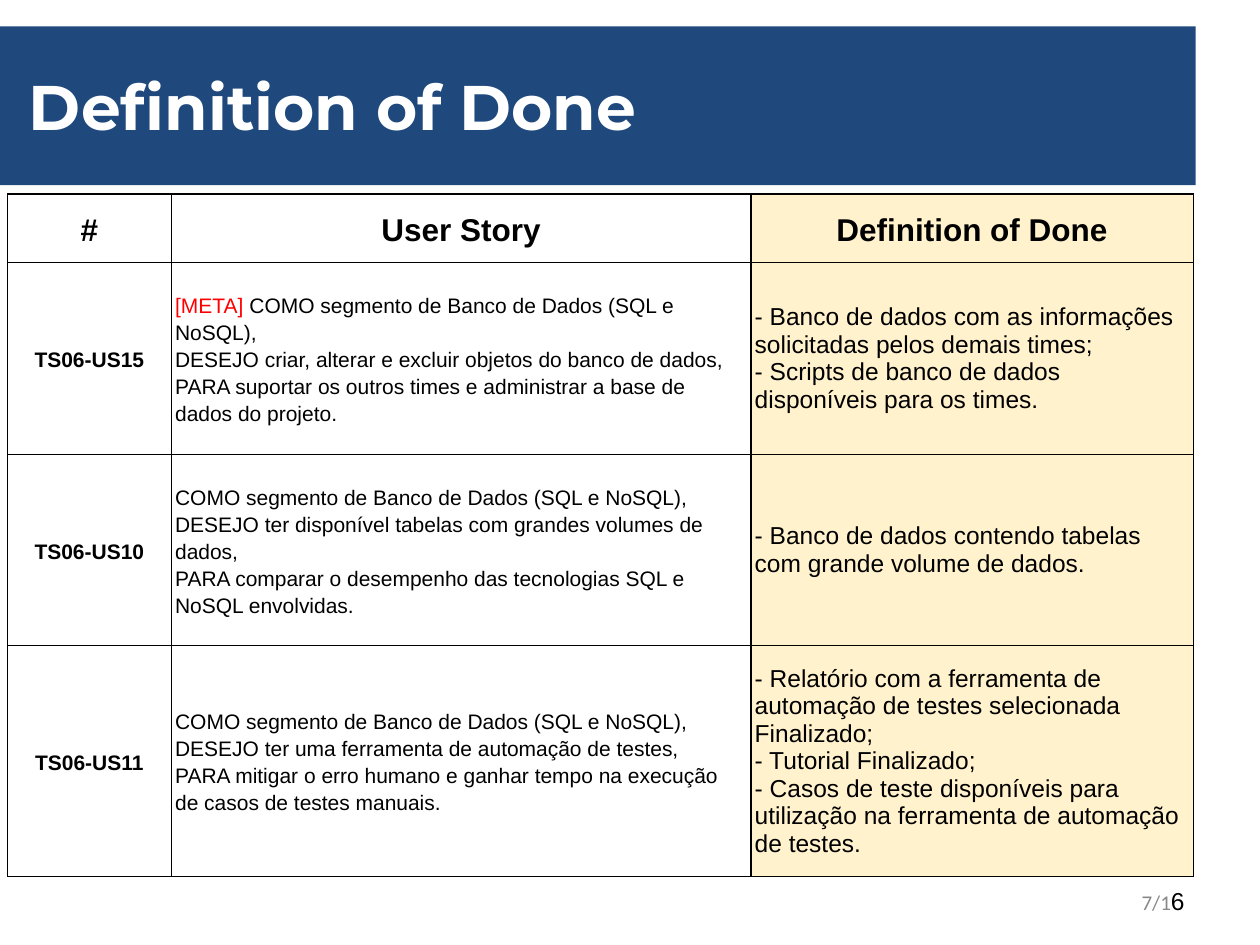
from lxml import etree
from pptx import Presentation, util as u
from pptx.dml.color import RGBColor
from pptx.enum import shapes, text
from pptx.oxml import ns

COLS, ROWS = 100, 75
WIDTH, HEIGHT = u.Inches(10), u.Inches(7.5)
NAVY, CREAM, WHITE, BLACK = "1F497D", "FFF2CC", "FFFFFF", "000000"
RED, GREY = "FF0000", "888888"
CENTER, RIGHT = text.PP_ALIGN.CENTER, text.PP_ALIGN.RIGHT

STORIES = [
    ("TS06-US15", "[META]",
     " COMO segmento de Banco de Dados (SQL e NoSQL),\n"
     "DESEJO criar, alterar e excluir objetos do banco de dados,\n"
     "PARA suportar os outros times e administrar a base de dados do projeto.",
     ["- Banco de dados com as informações solicitadas pelos demais times;",
      "- Scripts de banco de dados disponíveis para os times."]),
    ("TS06-US10", "",
     "COMO segmento de Banco de Dados (SQL e NoSQL),\n"
     "DESEJO ter disponível tabelas com grandes volumes de dados,\n"
     "PARA comparar o desempenho das tecnologias SQL e NoSQL envolvidas.",
     ["- Banco de dados contendo tabelas com grande volume de dados."]),
    ("TS06-US11", "",
     "COMO segmento de Banco de Dados (SQL e NoSQL),\n"
     "DESEJO ter uma ferramenta de automação de testes,\n"
     "PARA mitigar o erro humano e ganhar tempo na execução de casos de testes manuais.",
     ["- Relatório com a ferramenta de automação de testes selecionada Finalizado;",
      "- Tutorial Finalizado;",
      "- Casos de teste disponíveis para utilização na ferramenta de automação de testes."]),
]


def place(box):
    x, y, w, h = box
    return [int(v) for v in (x * WIDTH / COLS, y * HEIGHT / ROWS,
                             w * WIDTH / COLS, h * HEIGHT / ROWS)]


def color(value):
    return RGBColor.from_string(value)


def write(p, content, size=12, font="Arial", fill=BLACK, bold=False, align=None, spacing=None):
    if align is not None:
        p.alignment = align
    if spacing:
        p.line_spacing = spacing
    for i, line in enumerate(content.split("\n")):
        if i:
            p.add_line_break()
        r = p.add_run()
        r.text = line
        r.font.size, r.font.name, r.font.bold = u.Pt(size), font, bold
        r.font.color.rgb = color(fill)


def title_band(s, box):
    sp = s.shapes.add_shape(shapes.MSO_SHAPE.RECTANGLE, *place(box))
    sp.shadow.inherit = False
    sp.fill.solid()
    sp.fill.fore_color.rgb = color(NAVY)
    sp.line.fill.background()
    tf = sp.text_frame
    tf.word_wrap = True
    tf.vertical_anchor = text.MSO_ANCHOR.MIDDLE
    tf.margin_left = u.Inches(0.23)
    write(tf.paragraphs[0], "Definition of Done", size=36, font="Montserrat",
          fill=WHITE, bold=True, align=text.PP_ALIGN.LEFT)


def page_number(s, box):
    tf = s.shapes.add_textbox(*place(box)).text_frame
    tf.word_wrap = True
    tf.vertical_anchor = text.MSO_ANCHOR.MIDDLE
    p = tf.paragraphs[0]
    write(p, "7/1", font="Calibri", fill=GREY, align=RIGHT)
    write(p, "6", size=14)


def border(cell, width=0.75):
    tc_pr = cell._tc.get_or_add_tcPr()
    for side in ("a:lnL", "a:lnR", "a:lnT", "a:lnB"):
        ln = etree.SubElement(tc_pr, ns.qn(side), w=str(u.Pt(width)))
        fill = etree.SubElement(ln, ns.qn("a:solidFill"))
        etree.SubElement(fill, ns.qn("a:srgbClr"), val=BLACK)


def style_cell(cell, fill):
    border(cell)
    cell.fill.solid()
    cell.fill.fore_color.rgb = color(fill)
    cell.vertical_anchor = text.MSO_ANCHOR.MIDDLE
    cell.margin_left = cell.margin_right = u.Inches(0.03)
    cell.margin_top = cell.margin_bottom = u.Inches(0.1)


def story_table(s, box, col_weights=(13, 46, 35.1), row_weights=(4.5, 15.2, 15.2, 15.2)):
    x, y, w, h = place(box)
    table = s.shapes.add_table(len(row_weights), len(col_weights), x, y, w, h).table
    table.first_row = table.horz_banding = False
    for col, weight in zip(table.columns, col_weights):
        col.width = int(w * weight / sum(col_weights))
    for row, weight in zip(table.rows, row_weights):
        row.height = int(h * weight / sum(row_weights))
        for cell, fill in zip(row.cells, (WHITE, WHITE, CREAM)):
            style_cell(cell, fill)

    for i, heading in enumerate(("#", "User Story", "Definition of Done")):
        write(table.cell(0, i).text_frame.paragraphs[0], heading,
              size=18, bold=True, align=CENTER, spacing=1.15)
    for i, (code, tag, story, criteria) in enumerate(STORIES, 1):
        code_tf, story_tf, done_tf = (table.cell(i, j).text_frame for j in range(3))
        write(code_tf.paragraphs[0], code, bold=True, align=CENTER, spacing=1.15)
        if tag:
            write(story_tf.paragraphs[0], tag, fill=RED)
        write(story_tf.paragraphs[0], story, spacing=1.15)
        for j, criterion in enumerate(criteria):
            p = done_tf.add_paragraph() if j else done_tf.paragraphs[0]
            write(p, criterion, size=14)


def main():
    prs = Presentation()
    prs.slide_width, prs.slide_height = WIDTH, HEIGHT
    s = prs.slides.add_slide(prs.slide_layouts[6])
    title_band(s, (0, 2.1, 94.9, 12.6))
    page_number(s, (71.7, 69.5, 23.3, 4))
    story_table(s, (0.6, 15.4, 94.1, 50.1))
    prs.save("out.pptx")


if __name__ == "__main__":
    main()
